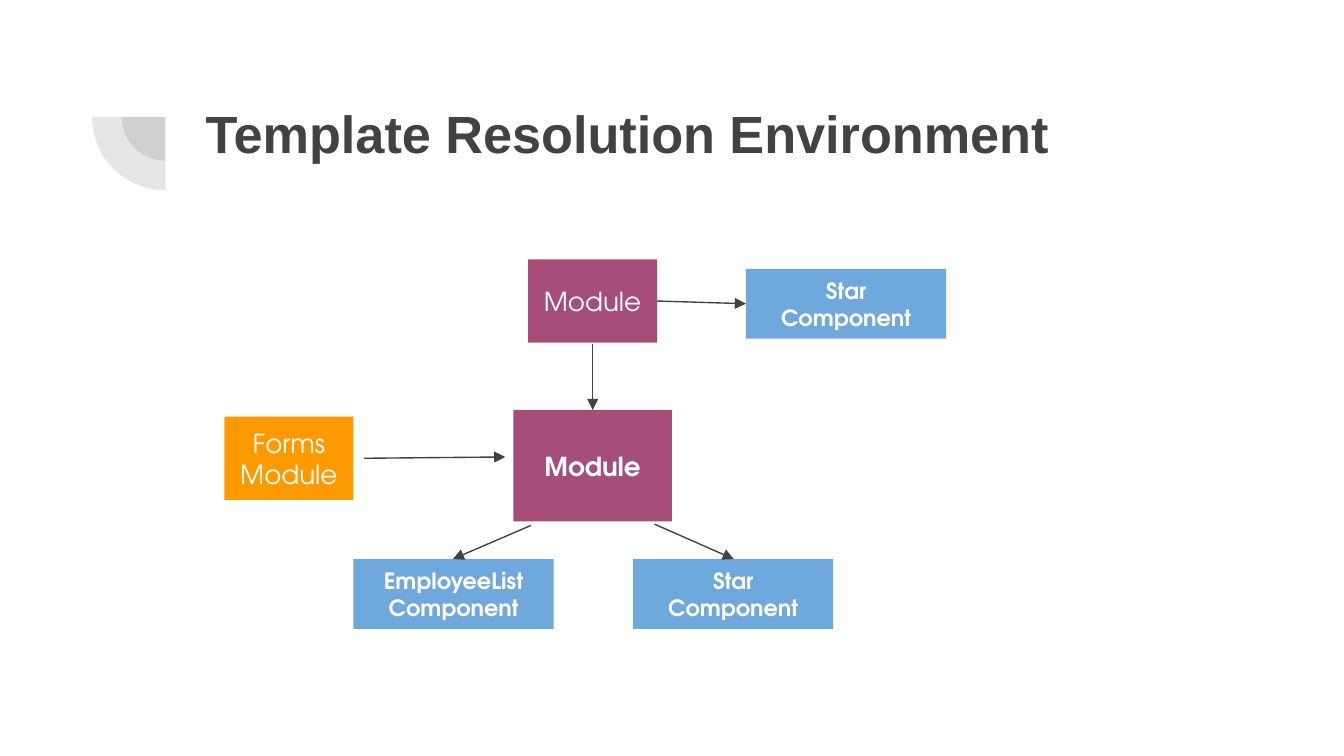
from typing import NamedTuple

from lxml.etree import SubElement
from pptx import Presentation
from pptx.dml.color import RGBColor
from pptx.enum.shapes import MSO_CONNECTOR, MSO_SHAPE
from pptx.enum.text import MSO_ANCHOR, MSO_AUTO_SIZE, PP_ALIGN
from pptx.oxml.ns import qn
from pptx.util import Inches, Pt

COLORS = {
    "dark": "424242",
    "module": "A64D79",
    "component": "6FA8DC",
    "forms": "FF9900",
    "white": "FFFFFF",
}
BODY_FONT = "TeX Gyre Adventor"


class Box(NamedTuple):
    text: str
    x: float
    y: float
    w: float
    h: float
    color: str
    size: int = 14
    bold: bool = False


class Arrow(NamedTuple):
    x1: float
    y1: float
    x2: float
    y2: float


def component(text: str, x: float, y: float) -> Box:
    return Box(text, x, y, 1.49, 0.52, "component", 12, True)


BOXES = [
    Box("Module", 3.82, 3.05, 1.18, 0.83, "module", bold=True),
    component("EmployeeList Component", 2.63, 4.16),
    component("Star Component", 4.71, 4.16),
    Box("Module", 3.93, 1.93, 0.96, 0.62, "module"),
    component("Star Component", 5.55, 2),
    Box("Forms Module", 1.67, 3.1, 0.96, 0.62, "forms"),
]
ARROWS = [
    Arrow(4.41, 2.56, 4.41, 3.05),
    Arrow(3.95, 3.91, 3.37, 4.16),
    Arrow(4.87, 3.9, 5.46, 4.16),
    Arrow(4.89, 2.24, 5.55, 2.26),
    Arrow(2.71, 3.41, 3.76, 3.4),
]


def rgb(name: str) -> RGBColor:
    return RGBColor.from_string(COLORS[name])


def set_insets(tf) -> None:
    tf.margin_left = tf.margin_right = tf.margin_top = tf.margin_bottom = Inches(0.1)


def style_runs(p, font: str, size: int, bold: bool, color: str) -> None:
    for r in p.runs:
        r.font.name = font
        r.font.size = Pt(size)
        r.font.bold = bold
        r.font.color.rgb = rgb(color)


def add_filled(s, kind, x: float, y: float, w: float, h: float, color: str):
    sp = s.shapes.add_shape(kind, Inches(x), Inches(y), Inches(w), Inches(h))
    sp.shadow.inherit = False
    sp.fill.solid()
    sp.fill.fore_color.rgb = rgb(color)
    sp.line.fill.background()
    return sp


def add_quarter(s, cx: float, cy: float, size: float) -> None:
    """Draw a translucent lower-left quarter disc around a centre."""
    sp = add_filled(s, MSO_SHAPE.PIE, cx - size / 2, cy - size / 2, size, size, "dark")
    # Turned by 270 degrees; angles are in 60000ths of a degree over 100000
    sp.rotation = 270
    sp.adjustments[0] = 180 * 0.6
    sp.adjustments[1] = 270 * 0.6
    clr = sp.fill._xPr.find(qn("a:solidFill")).find(qn("a:srgbClr"))
    SubElement(clr, qn("a:alpha"), val="13000")


def add_box(s, box: Box) -> None:
    sp = add_filled(s, MSO_SHAPE.RECTANGLE, box.x, box.y, box.w, box.h, box.color)
    tf = sp.text_frame
    tf.text = box.text
    tf.word_wrap = True
    tf.vertical_anchor = MSO_ANCHOR.MIDDLE
    set_insets(tf)
    p = tf.paragraphs[0]
    p.alignment = PP_ALIGN.CENTER
    style_runs(p, BODY_FONT, box.size, box.bold, "white")


def add_arrow(s, arrow: Arrow) -> None:
    cn = s.shapes.add_connector(MSO_CONNECTOR.STRAIGHT, *map(Inches, arrow))
    cn.line.color.rgb = rgb("dark")
    cn.line.width = Pt(0.75)
    SubElement(cn.line._get_or_add_ln(), qn("a:tailEnd"), type="triangle")
    SubElement(cn._element.spPr, qn("a:effectLst"))


def add_title(s, text: str) -> None:
    title = s.shapes.title
    title.left, title.top = Inches(1.43), Inches(0.65)
    title.width, title.height = Inches(7.69), Inches(0.7)
    tf = title.text_frame
    tf.text = text
    tf.word_wrap = True
    tf.auto_size = MSO_AUTO_SIZE.NONE
    tf.vertical_anchor = MSO_ANCHOR.TOP
    set_insets(tf)
    p = tf.paragraphs[0]
    p.alignment = PP_ALIGN.LEFT
    style_runs(p, "Arial", 28, True, "dark")


def main() -> None:
    prs = Presentation()
    # Widescreen 16:9
    prs.slide_width = Inches(10)
    prs.slide_height = Inches(10 * 9 / 16)
    s = prs.slides.add_slide(prs.slide_layouts[5])

    # Corner ornament and title
    for size in (0.65, 1.09):
        add_quarter(s, 1.23, 0.87, size)
    add_title(s, "Template Resolution Environment")

    # Module diagram
    for box in BOXES:
        add_box(s, box)
    for arrow in ARROWS:
        add_arrow(s, arrow)

    prs.save("out.pptx")


if __name__ == "__main__":
    main()
